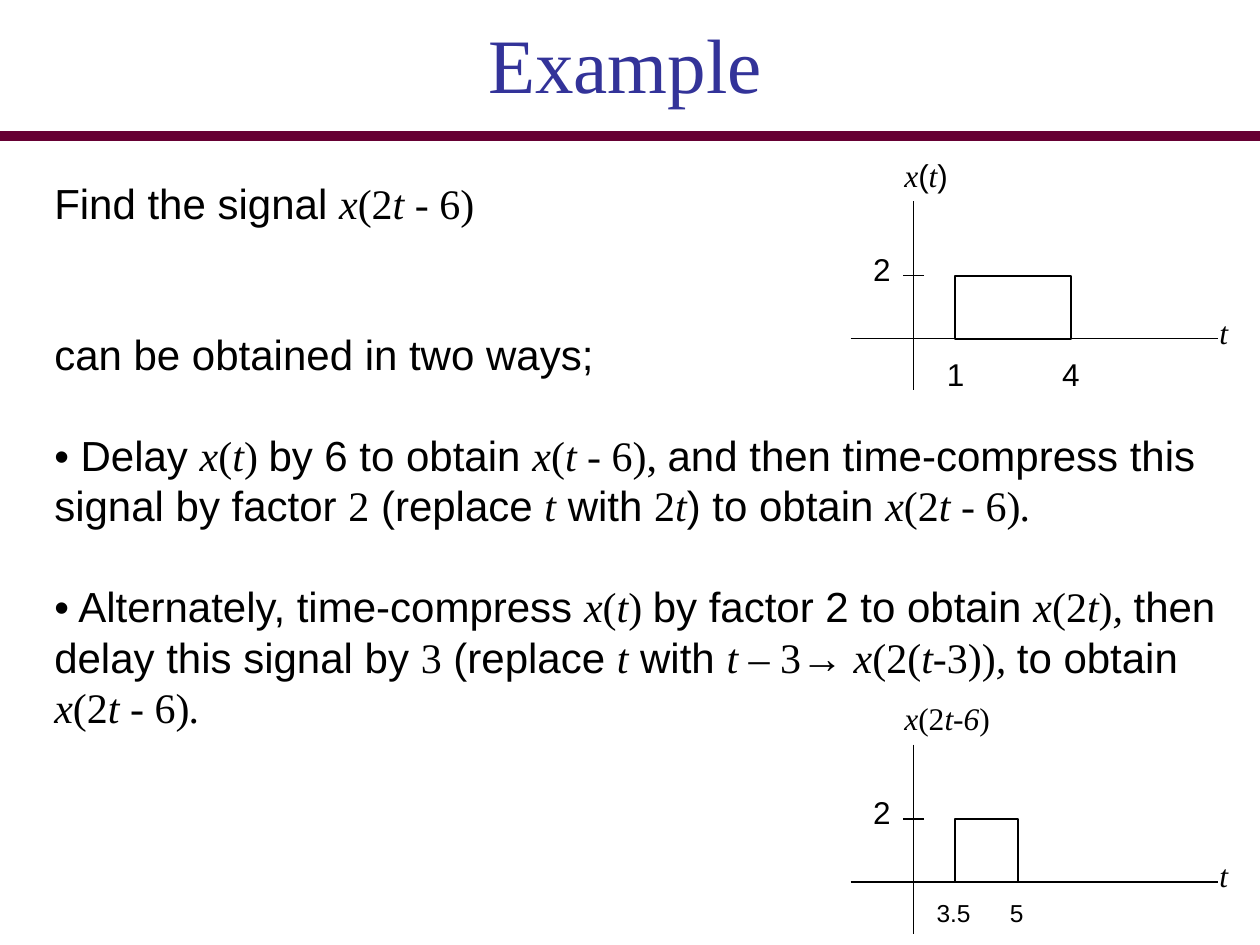
import pptx
import pptx.util
import pptx.dml.color
import pptx.enum.shapes
import pptx.enum.text
import pptx.oxml.ns
from lxml import etree

Cm, Pt = pptx.util.Cm, pptx.util.Pt
RGBColor = pptx.dml.color.RGBColor
Align = pptx.enum.text.PP_ALIGN
Anchor = pptx.enum.text.MSO_ANCHOR
Fit = pptx.enum.text.MSO_AUTO_SIZE
qn = pptx.oxml.ns.qn

BLACK = RGBColor(0, 0, 0)
BLUE = RGBColor(0x33, 0x33, 0x99)
WINE = RGBColor(0x66, 0, 0x33)
SANS, SERIF = "Arial", "Times New Roman"

# Run styles: plain text, upright math, italic math
P, M, V = (SANS, False), (SERIF, False), (SERIF, True)
XT = [(V, "x"), (M, "("), (V, "t"), (M, ") ")]
GOAL = [(V, "x"), (M, "(2"), (V, "t "), (M, "- 6)")]
STOP = [(V, ".")]
PITCH = 28.8

# Each paragraph: blank lines above it, then its runs
BODY = [
    (0, [(P, "Find the signal ")] + GOAL),
    (2, [(P, "can be obtained in two ways;")]),
    (1, [(P, "• Delay ")] + XT + [(P, "by 6 to obtain "), (V, "x"), (M, "("),
        (V, "t "), (M, "- 6), "), (P, "and then time-compress this")]),
    (0, [(P, "signal by factor "), (M, "2"), (P, " (replace "), (V, "t"),
         (P, " with "), (M, "2"), (V, "t"), (P, ") to obtain ")] + GOAL + STOP),
    (1, [(P, "• Alternately, time-compress ")] + XT
        + [(P, "by factor 2 to obtain "), (V, "x"), (M, "(2"), (V, "t"),
           (M, ")"), (V, ", "), (P, "then delay this signal by "), (M, "3"),
           (P, " (replace "), (V, "t"), (P, " with "), (V, "t"),
           (M, " – 3→ "), (V, "x"), (M, "(2("), (V, "t"), (M, "-3))"),
           (V, ", "), (P, "to obtain ")] + GOAL + STOP),
]


class Deck:
    def __init__(self):
        self.prs = pptx.Presentation()
        self.prs.slide_width, self.prs.slide_height = Cm(25.4), Cm(19.05)
        self.slide = self.prs.slides.add_slide(self.prs.slide_layouts[1])

    def place(self, shape, x, y, w, h):
        shape.left, shape.top = Cm(x), Cm(y)
        shape.width, shape.height = Cm(w), Cm(h)

    def fill(self, par, runs, size, color=BLACK):
        for (face, slant), text in runs:
            run = par.add_run()
            run.text = text
            font = run.font
            font.name, font.italic = face, slant
            font.size, font.color.rgb = Pt(size), color

    def title(self, text, x, y, w, h):
        shape = self.slide.shapes.title
        self.place(shape, x, y, w, h)
        frame = shape.text_frame
        frame.auto_size, frame.vertical_anchor = Fit.NONE, Anchor.TOP
        par = frame.paragraphs[0]
        par.alignment = Align.CENTER
        self.fill(par, [(M, text)], 44, BLUE)

    def body(self, items, x, y, w, h):
        shape = self.slide.placeholders[1]
        self.place(shape, x, y, w, h)
        frame = shape.text_frame
        frame.auto_size = Fit.NONE
        for i, (gap, runs) in enumerate(items):
            par = frame.add_paragraph() if i else frame.paragraphs[0]
            props = par._p.get_or_add_pPr()
            props.set("marL", "0")
            props.set("indent", "0")
            etree.SubElement(props, qn("a:buNone"))
            par.line_spacing = Pt(PITCH)
            par.space_before = Pt(gap * PITCH)
            self.fill(par, runs, 24)

    def label(self, runs, x, y, w, size=18):
        high = 1.02 if size == 18 else 0.86
        box = self.slide.shapes.add_textbox(Cm(x), Cm(y), Cm(w), Cm(high))
        frame = box.text_frame
        frame.word_wrap = False
        self.fill(frame.paragraphs[0], runs, size)

    def line(self, x1, y1, x2, y2, color=BLACK, width=0.75):
        kind = pptx.enum.shapes.MSO_CONNECTOR.STRAIGHT
        line = self.slide.shapes.add_connector(
            kind, Cm(x1), Cm(y1), Cm(x2), Cm(y2))
        line.line.color.rgb, line.line.width = color, Pt(width)
        etree.SubElement(line._element.spPr, qn("a:effectLst"))

    def box(self, x, y, w, h):
        kind = pptx.enum.shapes.MSO_SHAPE.RECTANGLE
        shape = self.slide.shapes.add_shape(kind, Cm(x), Cm(y), Cm(w), Cm(h))
        shape.shadow.inherit = False
        shape.fill.background()
        shape.line.color.rgb, shape.line.width = BLACK, Pt(1)

    def plot(self, base, name, width, pulse, marks, size):
        """Draw a pulse of height 2 on axes whose time axis lies at base."""
        axis, high = 18.42, 1.27
        self.line(axis, base - 2.77, axis, base + 1.04)
        self.line(17.15, base, 24.56, base)
        self.box(19.26, base - high, pulse, high)
        for text, x, w in marks:
            self.label([(P, text)], x, base + 0.2, w, size)
        self.label([(P, "2")], 17.35, base - 1.91, 0.86)
        self.line(axis + 0.21, base - high, axis - 0.21, base - high)
        self.label([(V, "t")], 24.33, base - 0.64, 0.69)
        self.label(name, 17.98, base - 3.81, width)


def main():
    deck = Deck()

    # Heading, text and rule
    deck.title("Example", 0, 0.2, 25.2, 2.13)
    deck.body(BODY, 0.84, 3.45, 24.13, 11.53)
    deck.line(0, 2.74, 25.4, 2.74, WINE, 6)

    # Given signal
    deck.plot(6.83, [(V, "x"), (P, "("), (V, "t"), (P, ")")], 1.45, 2.33,
              [("1", 18.84, 0.86), ("4", 21.16, 0.86)], 18)

    # Compressed and delayed signal
    deck.plot(17.78, [(V, "x"), (M, "(2"), (V, "t-6"), (M, ")")], 2.29, 1.27,
              [("3.5", 18.63, 1.19), ("5", 20.11, 0.79)], 14)

    deck.prs.save("out.pptx")


if __name__ == "__main__":
    main()
